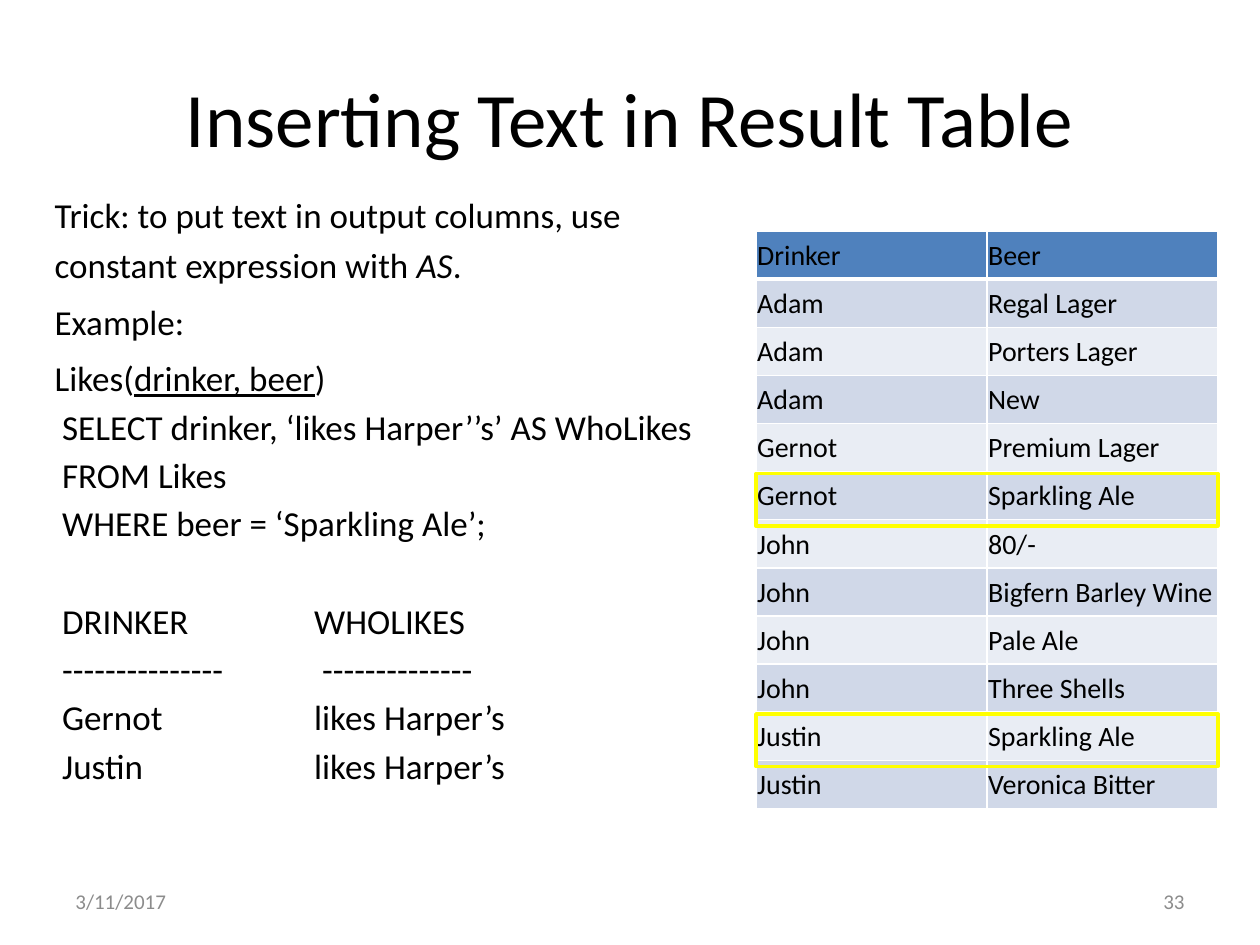
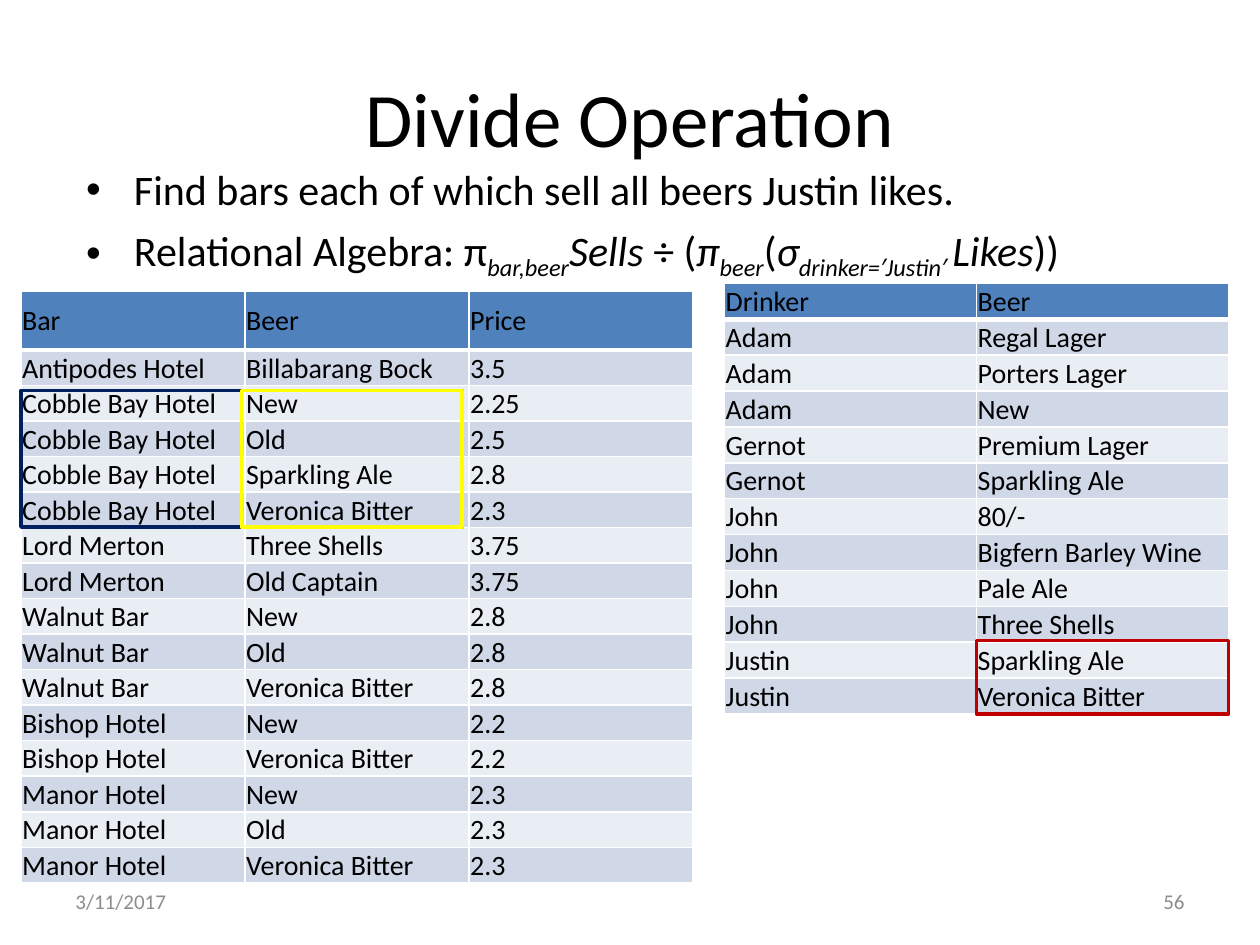
from dataclasses import dataclass
from lxml import etree
from pptx import Presentation
from pptx.dml.color import RGBColor
from pptx.enum.shapes import MSO_SHAPE
from pptx.enum.text import MSO_ANCHOR, MSO_AUTO_SIZE, PP_ALIGN
from pptx.oxml.ns import qn
from pptx.util import Emu, Inches, Pt

RECT = MSO_SHAPE.RECTANGLE
MIDDLE, TOP = MSO_ANCHOR.MIDDLE, MSO_ANCHOR.TOP
LEFT, CENTER, RIGHT = PP_ALIGN.LEFT, PP_ALIGN.CENTER, PP_ALIGN.RIGHT
NO_FIT = MSO_AUTO_SIZE.NONE

FONT = "Calibri"
BLACK, WHITE, GREY = "000000", "FFFFFF", "8C8C8C"
HEADER, BANDS = "4F81BD", ("D0D8E8", "E9EDF4")
YELLOW, RED, NAVY = "FFFF00", "C00000", "002060"
COLS, ROWS = 120, 90


@dataclass
class Box:
    x: float
    y: float
    w: float
    h: float


@dataclass
class Run:
    text: str
    italic: bool = False
    underline: bool = False
    sub: bool = False


@dataclass
class Para:
    runs: list[Run]
    before: float
    spacing: float = 1.0
    indent: float = 0
    hang: float = 0
    bullet: str = ""


@dataclass
class Grid:
    box: Box
    rows: list[tuple[str, ...]]
    header_share: float


@dataclass
class Frame:
    box: Box
    color: str


TITLE_BOX = Box(6, 3.6, 108, 15)
DATE_BOX = Box(6, 83.4, 28, 4.8)
NUMBER_BOX = Box(86, 83.4, 28, 4.8)

prs = Presentation()
prs.slide_width, prs.slide_height = Inches(10), Inches(7.5)


def rgb(color: str) -> RGBColor:
    return RGBColor.from_string(color)


def place(box: Box) -> tuple[Emu, Emu, Emu, Emu]:
    cx, cy = prs.slide_width / COLS, prs.slide_height / ROWS
    return (Emu(round(box.x * cx)), Emu(round(box.y * cy)),
            Emu(round(box.w * cx)), Emu(round(box.h * cy)))


def move(sp, box: Box) -> None:
    sp.left, sp.top, sp.width, sp.height = place(box)


def add_text(p, text: str, *, size: float, color: str = BLACK, italic: bool = False,
             underline: bool = False, sub: bool = False) -> None:
    r = p.add_run()
    r.text = text
    f = r.font
    f.name, f.size, f.bold = FONT, Pt(size), False
    f.italic, f.underline = italic, underline
    f.color.rgb = rgb(color)
    if sub:
        r._r.get_or_add_rPr().set("baseline", "-25000")


def add_title(s, text: str) -> None:
    sp = s.shapes.title
    move(sp, TITLE_BOX)
    tf = sp.text_frame
    tf.vertical_anchor, tf.auto_size = MIDDLE, NO_FIT
    p = tf.paragraphs[0]
    p.alignment = CENTER
    add_text(p, text, size=44)


def add_body(s, box: Box, paras: list[Para], size: float) -> None:
    sp = s.placeholders[1]
    move(sp, box)
    tf = sp.text_frame
    tf.vertical_anchor, tf.auto_size, tf.word_wrap = TOP, NO_FIT, True
    for i, para in enumerate(paras):
        p = tf.add_paragraph() if i else tf.paragraphs[0]
        p.line_spacing, p.space_before, p.space_after = para.spacing, Pt(para.before), Pt(0)
        pPr = p._p.get_or_add_pPr()
        pPr.set("marL", str(Inches(para.indent)))
        pPr.set("indent", str(Inches(para.hang)))
        pPr.set("defTabSz", str(Inches(1)))
        if para.bullet:
            etree.SubElement(pPr, qn("a:buChar"), char=para.bullet)
        else:
            etree.SubElement(pPr, qn("a:buNone"))
        for run in para.runs:
            add_text(p, run.text, size=size, italic=run.italic,
                     underline=run.underline, sub=run.sub)


def add_footer(s, box: Box, text: str, align) -> None:
    tf = s.shapes.add_textbox(*place(box)).text_frame
    tf.word_wrap, tf.vertical_anchor = True, MIDDLE
    p = tf.paragraphs[0]
    p.alignment = align
    add_text(p, text, size=12, color=GREY)


def add_border(cell, side: str, width: float) -> None:
    ln = etree.SubElement(cell._tc.get_or_add_tcPr(), qn(f"a:ln{side}"), w=str(Pt(width)))
    fill = etree.SubElement(ln, qn("a:solidFill"))
    etree.SubElement(fill, qn("a:srgbClr"), val=WHITE)


def add_grid(s, grid: Grid) -> None:
    n, m = len(grid.rows), len(grid.rows[0])
    x, y, w, h = place(grid.box)
    table = s.shapes.add_table(n, m, x, y, w, h).table
    head = round(h * grid.header_share)
    for column in table.columns:
        column.width = Emu(w // m)
    for i, values in enumerate(grid.rows):
        table.rows[i].height = Emu((h - head) // (n - 1) if i else head)
        for j, value in enumerate(values):
            cell = table.cell(i, j)
            cell.vertical_anchor = MIDDLE
            cell.margin_left = cell.margin_right = cell.margin_top = Inches(0.01)
            cell.margin_bottom = 0
            for side, width in (("L", 1), ("R", 1), ("T", 3 if i == 1 else 1),
                                ("B", 1 if i else 3)):
                add_border(cell, side, width)
            cell.fill.solid()
            cell.fill.fore_color.rgb = rgb(BANDS[(i - 1) % 2] if i else HEADER)
            add_text(cell.text_frame.paragraphs[0], value, size=16)


def add_frame(s, frame: Frame) -> None:
    sp = s.shapes.add_shape(RECT, *place(frame.box))
    sp.shadow.inherit = False
    sp.fill.background()
    sp.line.color.rgb = rgb(frame.color)
    sp.line.width = Pt(2)


def add_slide(title: str, number: str, body: Box, paras: list[Para], size: float,
              grids: list[Grid], frames: list[Frame]) -> None:
    s = prs.slides.add_slide(prs.slide_layouts[1])
    add_title(s, title)
    add_body(s, body, paras, size)
    add_footer(s, DATE_BOX, "3/11/2017", LEFT)
    add_footer(s, NUMBER_BOX, number, RIGHT)
    for grid in grids:
        add_grid(s, grid)
    for frame in frames:
        add_frame(s, frame)


def prose(*runs: Run) -> Para:
    return Para(list(runs), before=3.6, spacing=1.2)


def code(text: str, before: float = 3.6) -> Para:
    return Para([Run(text)], before=before, indent=0.06)


def bullet(*runs: Run) -> Para:
    return Para(list(runs), before=5.8, indent=0.38, hang=-0.38, bullet="•")


LIKES = [
    ("Drinker", "Beer"),
    ("Adam", "Regal Lager"),
    ("Adam", "Porters Lager"),
    ("Adam", "New"),
    ("Gernot", "Premium Lager"),
    ("Gernot", "Sparkling Ale"),
    ("John", "80/-"),
    ("John", "Bigfern Barley Wine"),
    ("John", "Pale Ale"),
    ("John", "Three Shells"),
    ("Justin", "Sparkling Ale"),
    ("Justin", "Veronica Bitter"),
]
SELLS = [
    ("Bar", "Beer", "Price"),
    ("Antipodes Hotel", "Billabarang Bock", "3.5"),
    ("Cobble Bay Hotel", "New", "2.25"),
    ("Cobble Bay Hotel", "Old", "2.5"),
    ("Cobble Bay Hotel", "Sparkling Ale", "2.8"),
    ("Cobble Bay Hotel", "Veronica Bitter", "2.3"),
    ("Lord Merton", "Three Shells", "3.75"),
    ("Lord Merton", "Old Captain", "3.75"),
    ("Walnut Bar", "New", "2.8"),
    ("Walnut Bar", "Old", "2.8"),
    ("Walnut Bar", "Veronica Bitter", "2.8"),
    ("Bishop Hotel", "New", "2.2"),
    ("Bishop Hotel", "Veronica Bitter", "2.2"),
    ("Manor Hotel", "New", "2.3"),
    ("Manor Hotel", "Old", "2.3"),
    ("Manor Hotel", "Veronica Bitter", "2.3"),
]

add_slide(
    "Inserting Text in Result Table", "33", Box(4, 17, 67, 59.4),
    [
        prose(Run("Trick: to put text in output columns, use constant expression with "),
              Run("AS", italic=True), Run(".")),
        prose(Run("Example:")),
        prose(Run("Likes("), Run("drinker, beer", underline=True), Run(")")),
        code("SELECT drinker, ‘likes Harper’’s’ AS WhoLikes"),
        code("FROM Likes"),
        code("WHERE beer = ‘Sparkling Ale’;"),
        code("DRINKER \tWHOLIKES", before=31.6),
        code("---------------\t --------------"),
        code("Gernot \t\tlikes Harper’s"),
        code("Justin \t\tlikes Harper’s"),
    ],
    20,
    [Grid(Box(72, 22, 44, 55), LIKES, 1 / len(LIKES))],
    [Frame(Box(72, y, 44, 5), YELLOW) for y in (68, 45.1)],
)

add_slide(
    "Divide Operation", "56", Box(7, 15, 108, 14),
    [
        bullet(Run("Find bars each of which sell all beers Justin likes.")),
        bullet(Run("Relational Algebra: π"), Run("bar,beer", italic=True, sub=True),
               Run("Sells ", italic=True), Run("÷ ("), Run("π", italic=True),
               Run("beer", italic=True, sub=True), Run("("), Run("σ", italic=True),
               Run("drinker=′Justin′ ", italic=True, sub=True),
               Run("Likes", italic=True), Run("))")),
    ],
    24,
    [Grid(Box(2, 27.7, 64, 56.4), SELLS, 0.1),
     Grid(Box(69, 27, 48, 41), LIKES, 1 / len(LIKES))],
    [Frame(Box(93, 61, 24, 7), RED),
     Frame(Box(2, 37.2, 42, 13), NAVY),
     Frame(Box(23, 37.2, 21, 13), YELLOW)],
)

prs.save("out.pptx")
